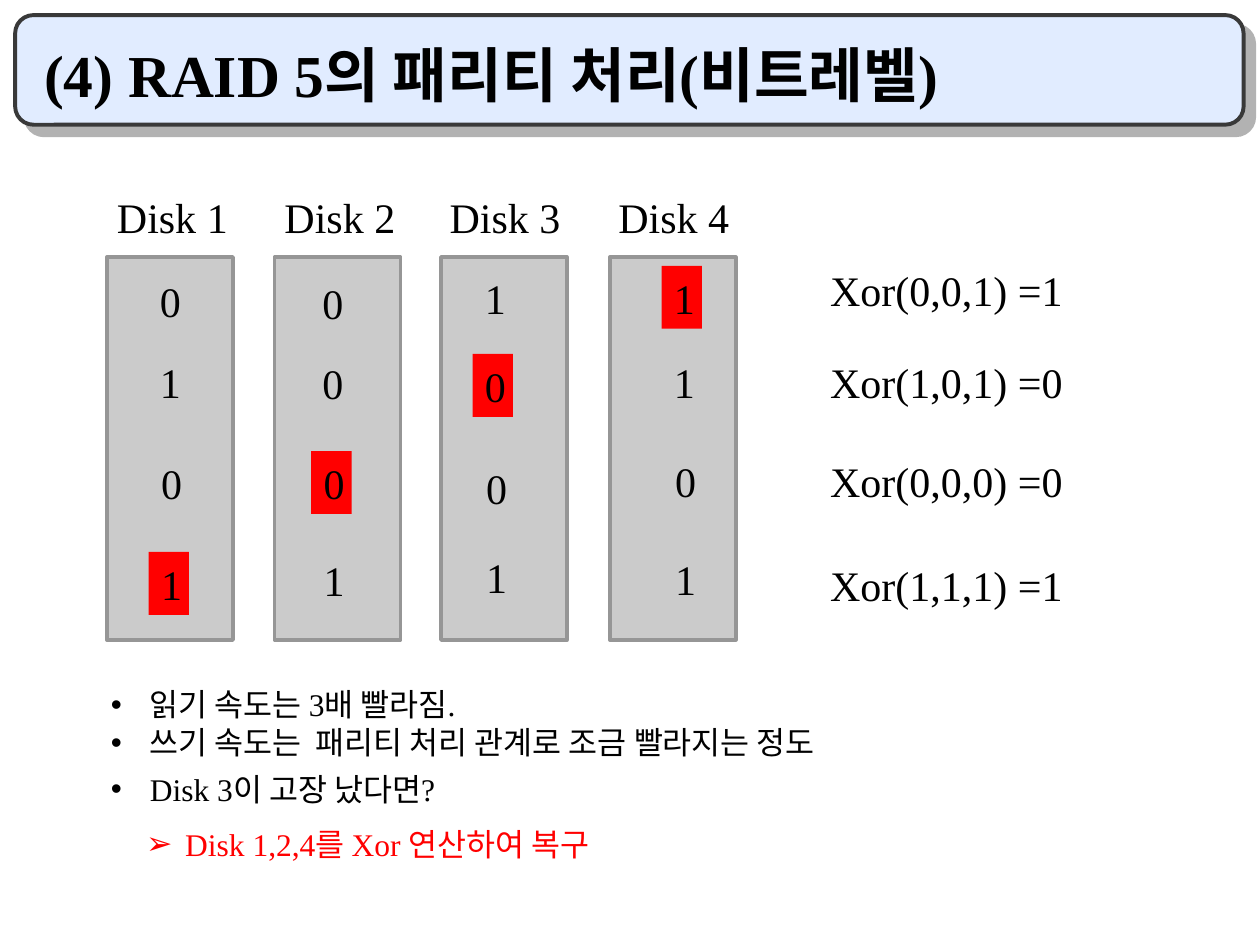
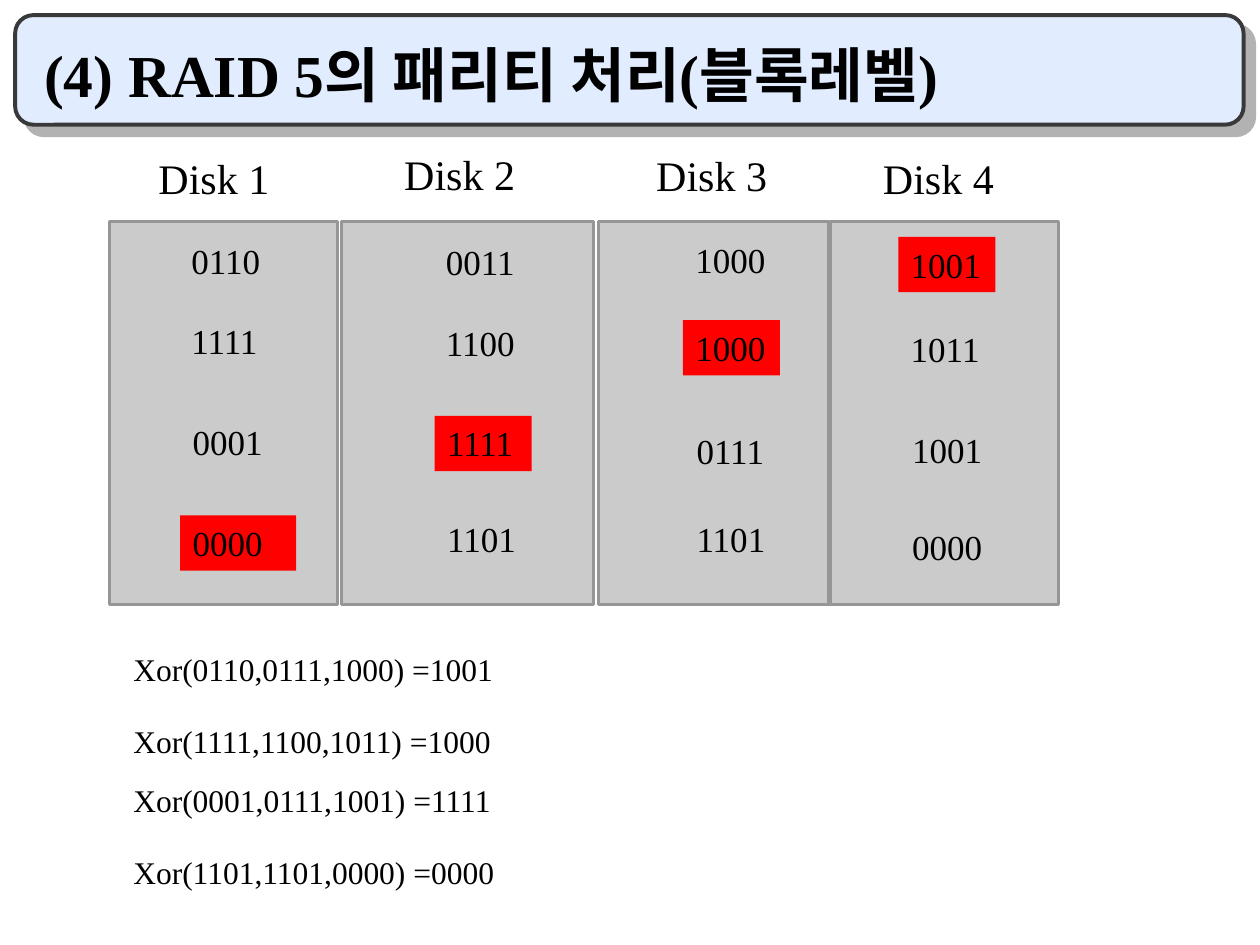
"""Build two slides on RAID 5 parity, at bit level and at block level."""
from lxml import etree
from pptx import Presentation
from pptx.dml.color import RGBColor
from pptx.enum.shapes import MSO_SHAPE
from pptx.enum.text import MSO_ANCHOR, MSO_AUTO_SIZE
from pptx.oxml import parse_xml
from pptx.oxml.ns import nsdecls, qn
from pptx.util import Inches, Pt

FONT = "Times New Roman"
BLACK, RED = "000000", "FF0000"
BAND_FILL, BAND_LINE, BAND_SHADOW = "E1ECFF", "393939", "B2B2B2"
DISK_FILL, DISK_LINE = "CBCBCB", "969696"
DISK_HEIGHT = 3.04
LABEL_RATIO = 1.185
HANGING = 0.31


def rgb(value):
    """Turn a hex string into a colour."""
    return RGBColor.from_string(value)


def add_text(slide, text, left, top, width, height, size):
    """Add a line of black text and return its box."""
    box = slide.shapes.add_textbox(Inches(left), Inches(top), Inches(width), Inches(height))
    box.text_frame.word_wrap = True
    box.text_frame.text = text
    font = box.text_frame.paragraphs[0].runs[0].font
    font.name, font.size, font.color.rgb = FONT, Pt(size), rgb(BLACK)
    return box


# Disk fields: left, width, label left, label top, cell left, cell width, values, cell tops.
levels = [
    {
        "title": "(4) RAID 5의 패리티 처리(비트레벨)",
        "layout": 1,
        "disk_top": 2.04,
        "cell_height": 0.5,
        "cell_size": 24,
        "disks": [
            (0.85, 1, 0.83, 1.47, 1.17, 0.32, "0 1 0 1", (2.14, 2.78, 3.58, 4.38)),
            (2.18, 1, 2.16, 1.47, 2.46, 0.32, "0 0 0 1", (2.15, 2.79, 3.58, 4.35)),
            (3.5, 1, 3.47, 1.47, 3.75, 0.32, "1 0 0 1", (2.11, 2.81, 3.62, 4.33)),
            (4.84, 1, 4.81, 1.47, 5.25, 0.32, "1 1 0 1", (2.11, 2.78, 3.57, 4.34)),
        ],
        "formula_box": (6.49, 2.14, 0.5, 24),
        "formulas": [
            ("Xor(0,0,1) =1", 2.05),
            ("Xor(1,0,1) =0", 2.78),
            ("Xor(0,0,0) =0", 3.57),
            ("Xor(1,1,1) =1", 4.39),
        ],
    },
    {
        "title": "(4) RAID 5의 패리티 처리(블록레벨)",
        "layout": 5,
        "disk_top": 1.76,
        "cell_height": 0.44,
        "cell_size": 20,
        "disks": [
            (0.87, 1.81, 1.16, 1.16, 1.42, 0.92, "0110 1111 0001 0000", (1.85, 2.49, 3.29, 4.09)),
            (2.71, 2, 3.11, 1.13, 3.44, 0.77, "0011 1100 1111 1101", (1.86, 2.5, 3.3, 4.06)),
            (4.75, 1.83, 5.11, 1.14, 5.42, 0.77, "1000 1000 0111 1101", (1.84, 2.54, 3.36, 4.06)),
            (6.59, 1.81, 6.91, 1.16, 7.13, 0.77, "1001 1011 1001 0000", (1.88, 2.55, 3.35, 4.12)),
        ],
        "formula_box": (0.96, 5.91, 0.4, 18),
        "formulas": [
            ("Xor(0110,0111,1000) =1001", 5.11),
            ("Xor(1111,1100,1011) =1000", 5.68),
            ("Xor(0001,0111,1001) =1111", 6.15),
            ("Xor(1101,1101,0000) =0000", 6.72),
        ],
    },
]
notes = [
    ("읽기 속도는 3배 빨라짐.", "•", 0, 0, BLACK),
    ("쓰기 속도는  패리티 처리 관계로 조금 빨라지는 정도", "•", 0, 0, BLACK),
    ("Disk 3이 고장 났다면?", "•", 0, 5, BLACK),
    ("Disk 1,2,4를 Xor 연산하여 복구", "➢", 0.28, 10, RED),
]

presentation = Presentation()
presentation.slide_width, presentation.slide_height = Inches(10), Inches(7.5)
master = presentation.slide_master
master_title = master.placeholders[0]
master_title.left, master_title.top = Inches(0.25), Inches(0.25)
master_title.width, master_title.height = Inches(9.42), Inches(0.67)

for level in levels:
    slide = presentation.slides.add_slide(presentation.slide_layouts[level["layout"]])
    title_frame = slide.shapes.title.text_frame
    title_frame.text = level["title"]
    title_frame.vertical_anchor = MSO_ANCHOR.BOTTOM
    title_frame.auto_size = MSO_AUTO_SIZE.NONE
    title_paragraph = title_frame.paragraphs[0]
    title_paragraph.alignment = 1
    title_font = title_paragraph.runs[0].font
    title_font.name, title_font.size, title_font.bold = FONT, Pt(34), True
    title_font.color.rgb = rgb(BLACK)

    for column, disk in enumerate(level["disks"]):
        left, width, label_left, label_top, cell_left, cell_width, values, tops = disk
        body = slide.shapes.add_shape(
            MSO_SHAPE.RECTANGLE, Inches(left), Inches(level["disk_top"]),
            Inches(width), Inches(DISK_HEIGHT))
        body.shadow.inherit = False
        body.fill.solid()
        body.fill.fore_color.rgb = rgb(DISK_FILL)
        body.line.color.rgb = rgb(DISK_LINE)
        body.line.width = Pt(2)
        add_text(slide, f"Disk {column + 1}", label_left, label_top,
                 width * LABEL_RATIO, 0.5, 24)
        for row, (value, top) in enumerate(zip(values.split(), tops)):
            nudge = 0.01 if row > 1 else 0
            cell = add_text(slide, value, cell_left + nudge, top, cell_width,
                            level["cell_height"], level["cell_size"])
            if row + column == 3:
                cell.fill.solid()
                cell.fill.fore_color.rgb = rgb(RED)

    formula_left, formula_width, formula_height, formula_size = level["formula_box"]
    for formula, top in level["formulas"]:
        add_text(slide, formula, formula_left, top, formula_width, formula_height, formula_size)

bit_slide = presentation.slides[0]
note_body = bit_slide.placeholders[1]
note_body.left, note_body.top = Inches(0.78), Inches(5.39)
note_body.width, note_body.height = Inches(8.63), Inches(1.51)
note_frame = note_body.text_frame
note_frame.text = "\n".join(note[0] for note in notes)
note_frame.auto_size = MSO_AUTO_SIZE.NONE
for paragraph, (_, bullet, indent, gap, color) in zip(note_frame.paragraphs, notes):
    paragraph.space_before = Pt(gap)
    font = paragraph.runs[0].font
    font.name, font.size, font.color.rgb = FONT, Pt(18), rgb(color)
    properties = paragraph._p.get_or_add_pPr()
    properties.set("marL", str(Inches(indent + HANGING)))
    properties.set("indent", str(-Inches(HANGING)))
    etree.SubElement(properties, qn("a:buChar")).set("char", bullet)

band = bit_slide.shapes.add_shape(
    MSO_SHAPE.ROUNDED_RECTANGLE, Inches(0.12), Inches(0.12), Inches(9.75), Inches(0.87))
band.adjustments[0] = 0.167
band.fill.solid()
band.fill.fore_color.rgb = rgb(BAND_FILL)
band.line.color.rgb = rgb(BAND_LINE)
band.line.width = Pt(2.25)
band._element.spPr.append(parse_xml(
    f'<a:effectLst {nsdecls("a")}><a:outerShdw blurRad="0" dist="{Pt(8.5)}" dir="2700000" '
    f'algn="ctr" rotWithShape="0"><a:srgbClr val="{BAND_SHADOW}"/></a:outerShdw></a:effectLst>'))
master.shapes._spTree.insert(2, band._element)

presentation.save("out.pptx")
